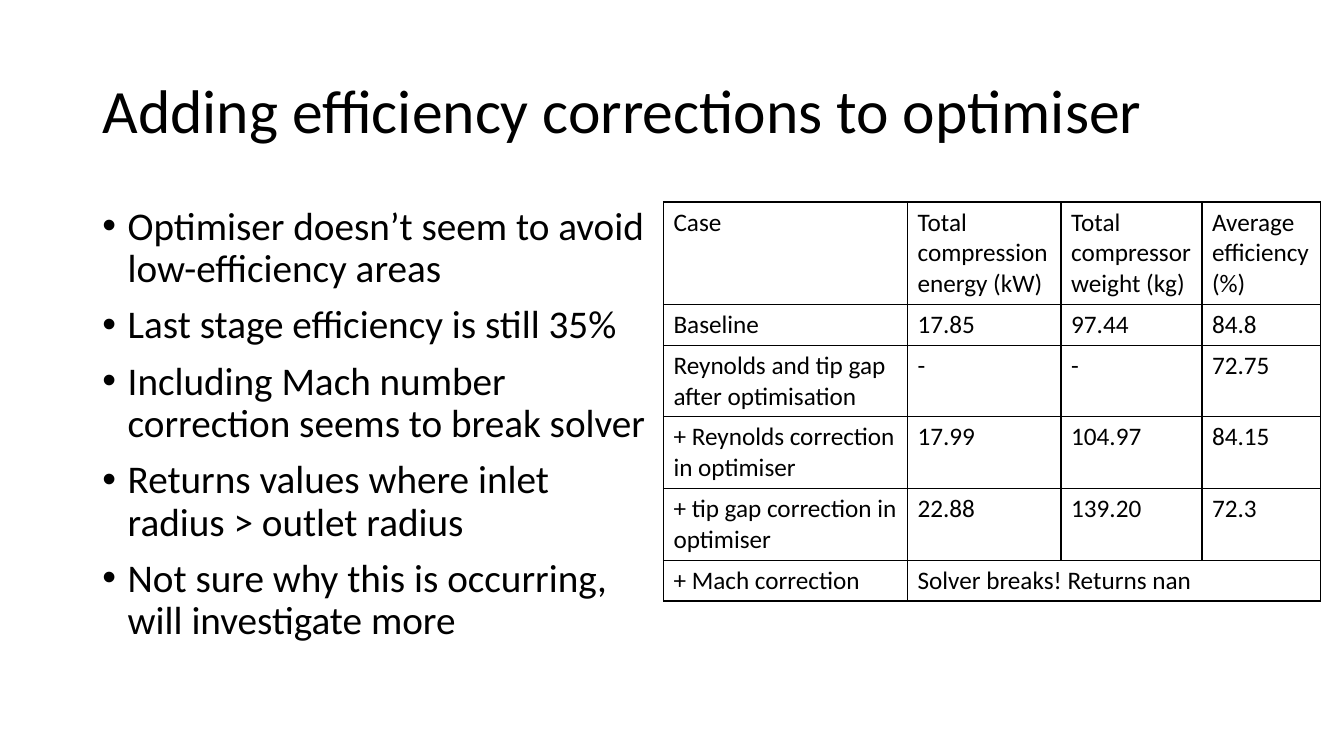
from dataclasses import dataclass

from lxml import etree
from pptx import Presentation
from pptx import util as u
from pptx.dml.color import RGBColor
from pptx.enum import text
from pptx.oxml.ns import qn

# Content
TITLE = "Adding efficiency corrections to optimiser"
FINDINGS = [
    "Optimiser doesn’t seem to avoid low-efficiency areas",
    "Last stage efficiency is still 35%",
    "Including Mach number correction seems to break solver",
    "Returns values where inlet radius > outlet radius",
    "Not sure why this is occurring, will investigate more",
]
# Each row: number of text lines, then the cells; a short row spans to the end
RESULTS = [
    (3, ["Case", "Total compression energy (kW)",
         "Total compressor weight (kg)", "Average efficiency (%)"]),
    (1, ["Baseline", "17.85", "97.44", "84.8"]),
    (2, ["Reynolds and tip gap after optimisation", "-", "-", "72.75"]),
    (2, ["+ Reynolds correction in optimiser", "17.99", "104.97", "84.15"]),
    (2, ["+ tip gap correction in optimiser", "22.88", "139.20", "72.3"]),
    (1, ["+ Mach correction", "Solver breaks! Returns nan"]),
]
COLUMN_WIDTHS = [6.15, 3.87, 3.55, 2.99]  # cm
LINE_HEIGHT, CELL_PADDING = 0.77, 0.25  # cm


@dataclass(frozen=True)
class Theme:
    font: str = "Calibri"
    ink: str = "000000"
    paper: str = "FFFFFF"
    title: int = 44
    body: int = 28
    table: int = 18
    border: int = 1


THEME = Theme()


def add_bullet(para):
    props = para._p.get_or_add_pPr()
    props.set("marL", str(u.Cm(0.64)))
    props.set("indent", str(-u.Cm(0.64)))
    etree.SubElement(props, qn("a:buFont")).set("typeface", "Arial")
    etree.SubElement(props, qn("a:buChar")).set("char", "•")


def write(frame, lines, *, size, spacing=1.0, before=0, bullet=False,
          anchor=text.MSO_ANCHOR.TOP):
    frame.word_wrap = True
    frame.auto_size = text.MSO_AUTO_SIZE.NONE
    frame.vertical_anchor = anchor
    for index, line in enumerate(lines):
        para = frame.add_paragraph() if index else frame.paragraphs[0]
        if bullet:
            add_bullet(para)
        para.alignment = text.PP_ALIGN.LEFT
        para.line_spacing = spacing
        para.space_before = u.Pt(before if index else 0)
        span = para.add_run()
        span.text = line
        span.font.name = THEME.font
        span.font.size = u.Pt(size)
        span.font.color.rgb = RGBColor.from_string(THEME.ink)


def style_cell(cell):
    props = cell._tc.get_or_add_tcPr()
    for side in ("lnL", "lnR", "lnT", "lnB"):
        line = etree.SubElement(props, qn(f"a:{side}"), w=str(u.Pt(THEME.border)))
        fill = etree.SubElement(line, qn("a:solidFill"))
        etree.SubElement(fill, qn("a:srgbClr"), val=THEME.ink)
    cell.fill.solid()
    cell.fill.fore_color.rgb = RGBColor.from_string(THEME.paper)


def add_results(page, left, top):
    heights = [CELL_PADDING + LINE_HEIGHT * lines for lines, _ in RESULTS]
    table = page.shapes.add_table(
        len(RESULTS), len(COLUMN_WIDTHS), u.Cm(left), u.Cm(top),
        u.Cm(sum(COLUMN_WIDTHS)), u.Cm(sum(heights))).table
    table.first_row = table.horz_banding = False
    for column, width in zip(table.columns, COLUMN_WIDTHS):
        column.width = u.Cm(width)
    last = len(COLUMN_WIDTHS) - 1
    for r, (_, values) in enumerate(RESULTS):
        table.rows[r].height = u.Cm(heights[r])
        for c in range(last + 1):
            style_cell(table.cell(r, c))
        if len(values) <= last:
            table.cell(r, len(values) - 1).merge(table.cell(r, last))
        for c, value in enumerate(values):
            write(table.cell(r, c).text_frame, [value], size=THEME.table)


def main():
    deck = Presentation()
    deck.slide_width, deck.slide_height = u.Cm(33.87), u.Cm(19.05)
    page = deck.slides.add_slide(deck.slide_layouts[5])

    # Title
    title = page.shapes.title
    title.left, title.top = u.Cm(2.33), u.Cm(1.01)
    title.width, title.height = u.Cm(29.21), u.Cm(3.68)
    write(title.text_frame, [TITLE], size=THEME.title, spacing=0.9,
          anchor=text.MSO_ANCHOR.MIDDLE)

    # Findings
    box = page.shapes.add_textbox(u.Cm(2.33), u.Cm(5.07), u.Cm(14.4), u.Cm(12.09))
    write(box.text_frame, FINDINGS, size=THEME.body, spacing=0.9, before=10,
          bullet=True)

    # Results table
    add_results(page, 16.72, 5.09)

    deck.save("out.pptx")


if __name__ == "__main__":
    main()
